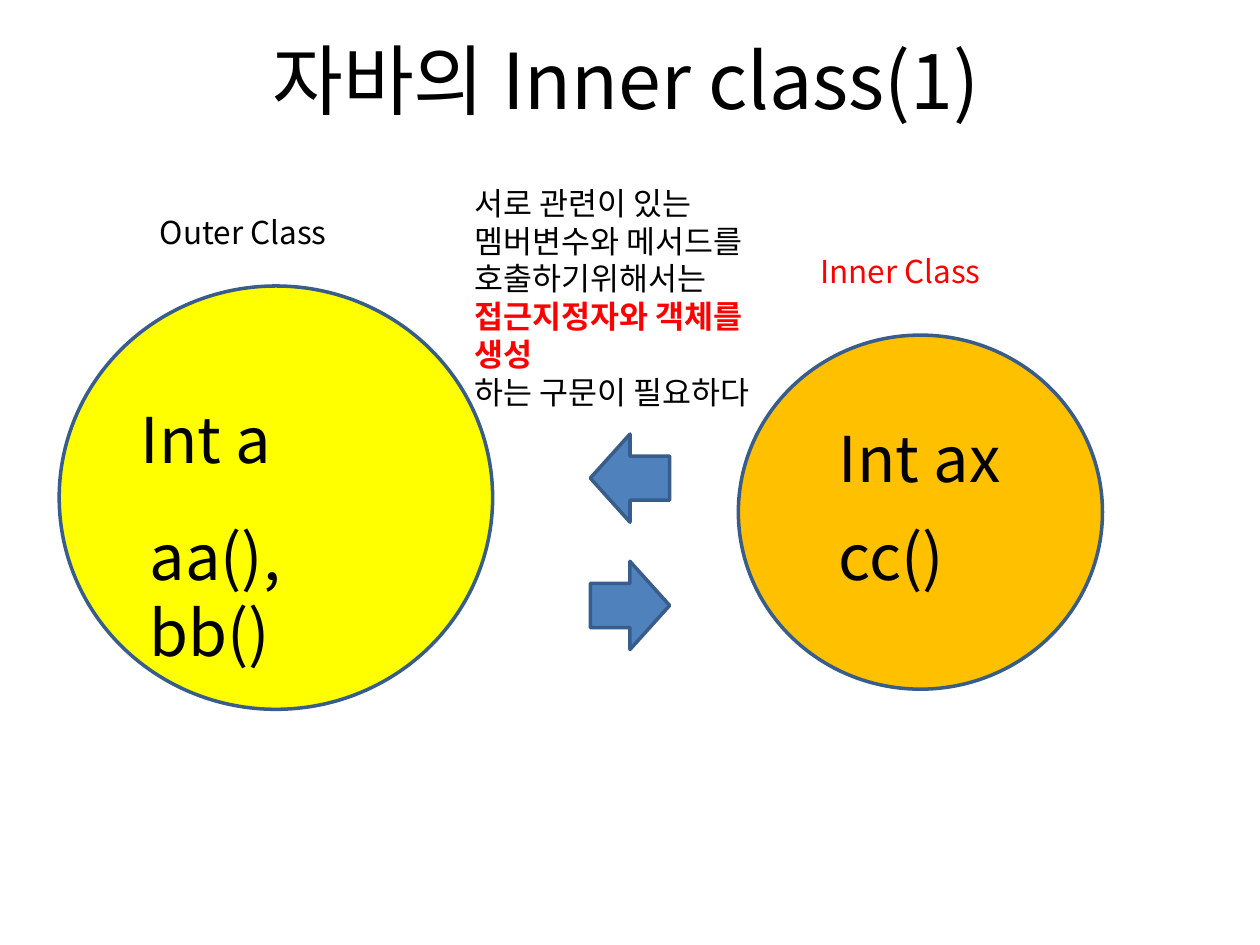
from lxml import etree
from pptx import Presentation
from pptx.dml.color import RGBColor
from pptx.enum.shapes import MSO_SHAPE
from pptx.enum.text import MSO_ANCHOR, PP_ALIGN
from pptx.oxml.ns import qn
from pptx.util import Inches, Pt

BLACK, RED = "000000", "FF0000"
YELLOW, ORANGE = "FFFF00", "FFC000"
BLUE, OUTLINE = "4F81BD", "385D8A"


def color(hex_value):
    return RGBColor.from_string(hex_value)


class SlideBuilder:
    font_name = "Noto Sans CJK KR"

    def __init__(self, slide):
        self.slide = slide

    def add_run(self, paragraph, text, size=18, fill=BLACK, bold=False):
        run = paragraph.add_run()
        run.text = text
        run.font.size = Pt(size)
        run.font.bold = bold
        run.font.color.rgb = color(fill)
        run.font.name = self.font_name
        east_asian = etree.SubElement(run.font._element, qn("a:ea"))
        east_asian.set("typeface", self.font_name)

    def text(self, left, top, width, height, *paragraphs,
             align=PP_ALIGN.LEFT, anchor=MSO_ANCHOR.TOP, **style):
        """Add a text box; a paragraph is a string or a list of (text, format) runs."""
        box = self.slide.shapes.add_textbox(
            Inches(left), Inches(top), Inches(width), Inches(height))
        frame = box.text_frame
        frame.word_wrap = True
        frame.vertical_anchor = anchor
        for index, content in enumerate(paragraphs):
            paragraph = frame.add_paragraph() if index else frame.paragraphs[0]
            paragraph.alignment = align
            runs = [(content, {})] if isinstance(content, str) else content
            for run_text, run_style in runs:
                self.add_run(paragraph, run_text, **{**style, **run_style})

    def shape(self, kind, left, top, width, height, fill, rotation=0):
        shape = self.slide.shapes.add_shape(
            kind, Inches(left), Inches(top), Inches(width), Inches(height))
        shape.shadow.inherit = False
        shape.rotation = rotation
        shape.fill.solid()
        shape.fill.fore_color.rgb = color(fill)
        shape.line.color.rgb = color(OUTLINE)
        shape.line.width = Pt(2)


def main():
    presentation = Presentation()
    presentation.slide_width = Inches(10)
    presentation.slide_height = Inches(7.5)
    builder = SlideBuilder(presentation.slides.add_slide(presentation.slide_layouts[6]))

    builder.text(0.47, 0, 9, 1.25, "자바의 Inner class(1)", size=44,
                 align=PP_ALIGN.CENTER, anchor=MSO_ANCHOR.MIDDLE)

    builder.shape(MSO_SHAPE.OVAL, 0.47, 2.27, 3.44, 3.36, YELLOW)
    builder.shape(MSO_SHAPE.OVAL, 5.86, 2.66, 2.89, 2.81, ORANGE)
    builder.text(6.41, 1.95, 1.72, 0.4, "Inner Class", fill=RED)
    builder.text(1.17, 1.64, 1.72, 0.4, "Outer Class")

    for top, rotation in ((3.48, 90), (4.49, 270)):
        builder.shape(MSO_SHAPE.DOWN_ARROW, 4.65, top, 0.7, 0.63, BLUE, rotation)

    members = (
        (1.02, 3.13, 1.72, 0.7, "Int a"),
        (6.56, 3.28, 1.72, 0.7, "Int ax"),
        (1.09, 4.06, 2.11, 1.3, "aa(), bb()"),
        (6.56, 4.06, 1.87, 0.7, "cc()"),
    )
    for member in members:
        builder.text(*member, size=36)

    builder.text(
        3.67, 1.41, 2.66, 1.9,
        [("서로 관련이 있는 멤버변수와 메서드를 호출하기위해서는 ", {}),
         ("접근지정자와 객체를 생성", {"fill": RED, "bold": True})],
        "하는 구문이 필요하다")

    presentation.save("out.pptx")


if __name__ == "__main__":
    main()
